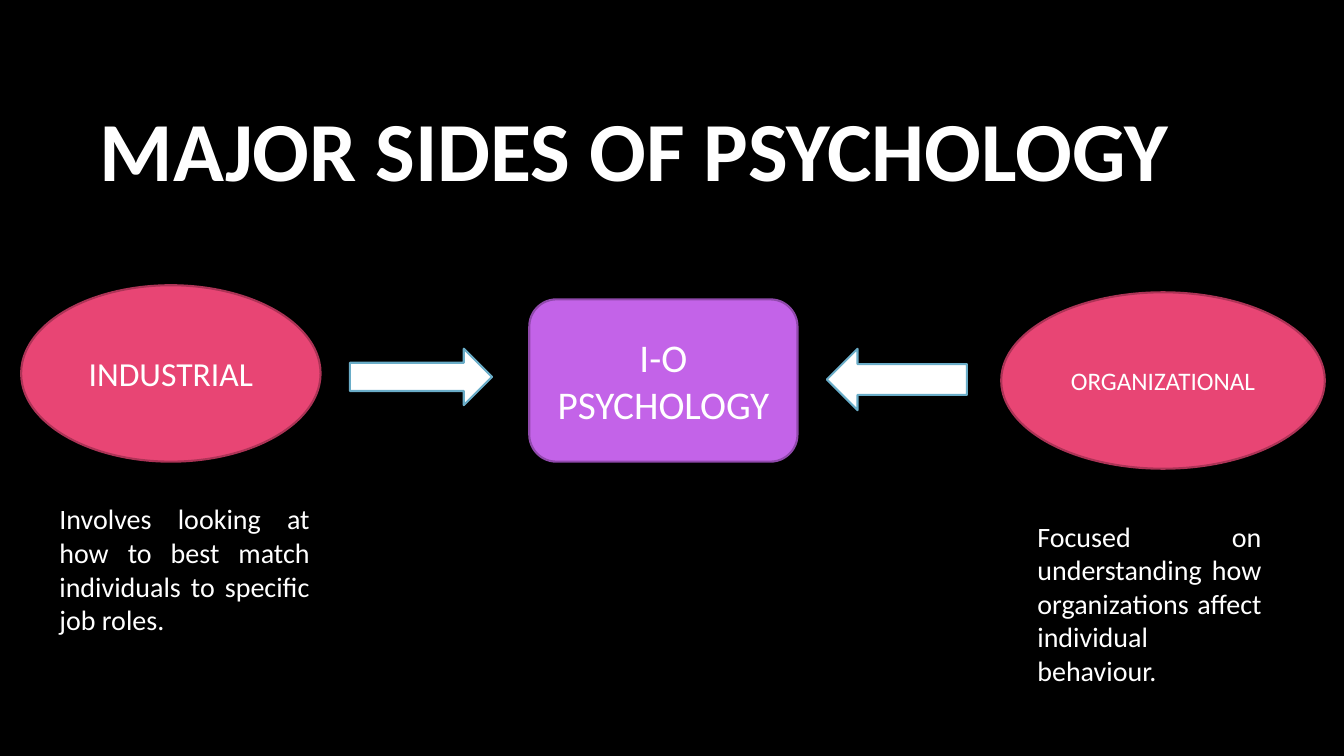
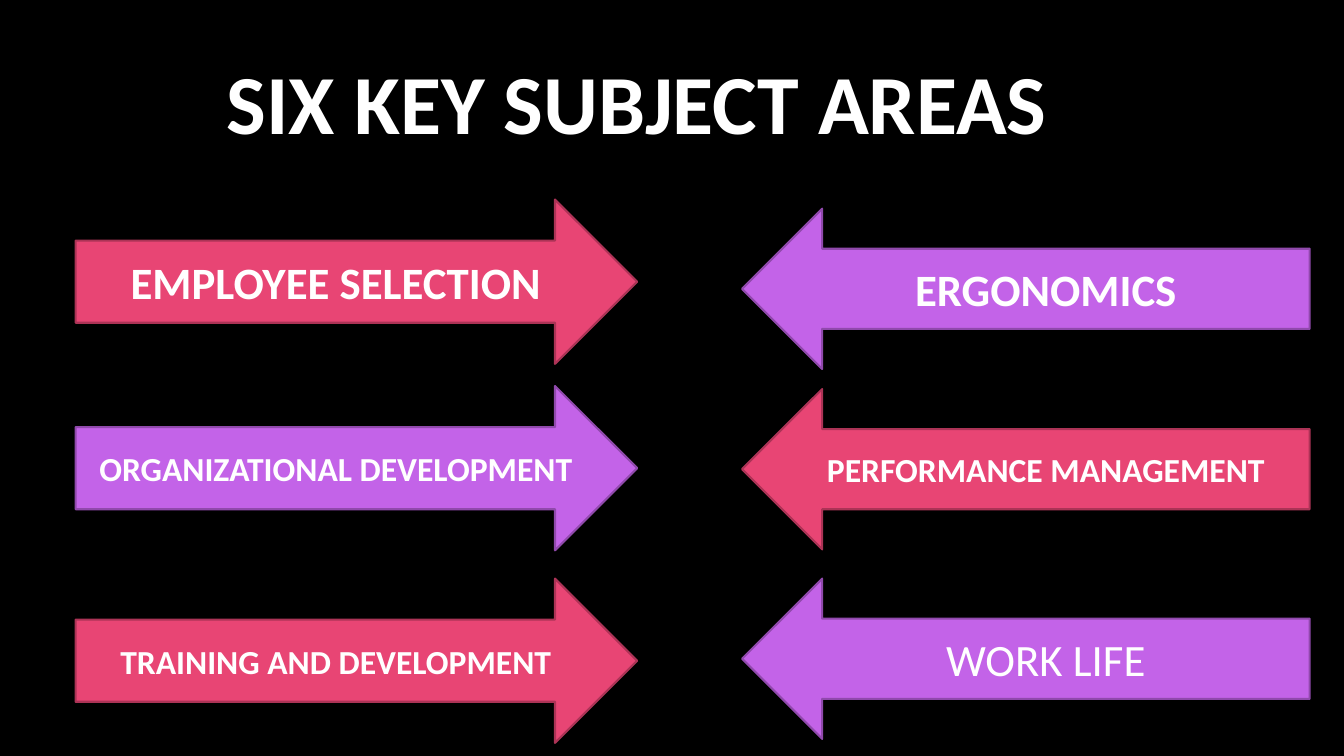
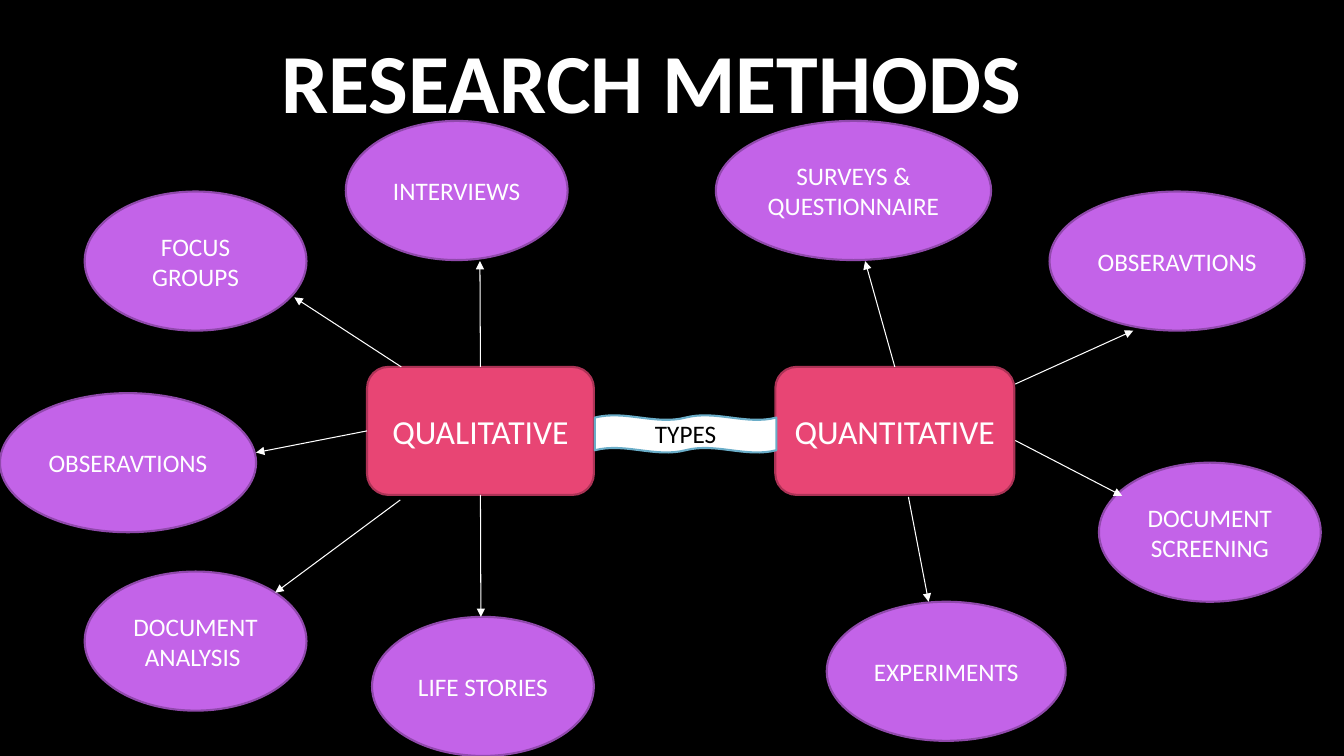
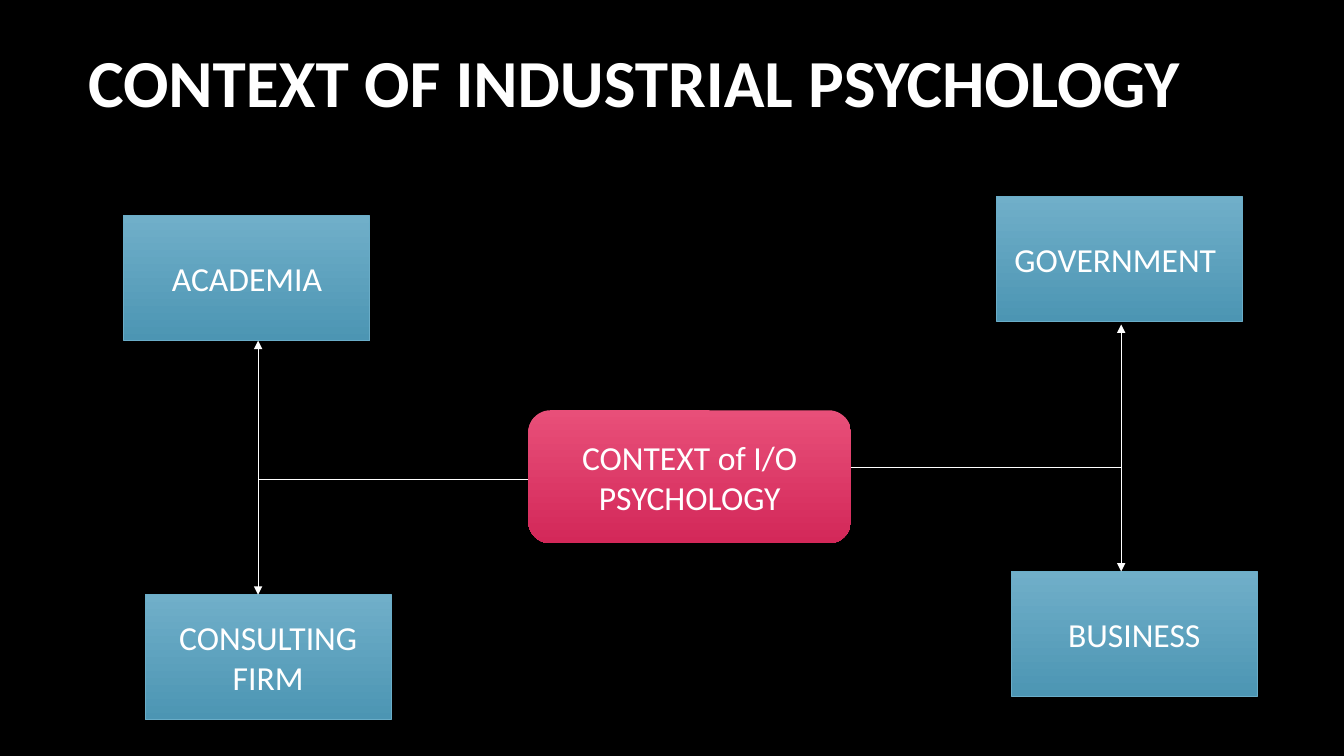
from pptx import Presentation
from pptx.dml.color import RGBColor
from pptx.enum.shapes import MSO_CONNECTOR, MSO_SHAPE
from pptx.enum.text import MSO_ANCHOR, PP_ALIGN
from pptx.oxml.ns import qn
from pptx.util import Inches, Pt
from lxml import etree

BLACK = RGBColor(0x00, 0x00, 0x00)
WHITE = RGBColor(0xFF, 0xFF, 0xFF)
PINK = RGBColor(0xE8, 0x45, 0x74)
PINK_EDGE = RGBColor(0xAC, 0x33, 0x56)
PURPLE = RGBColor(0xC3, 0x63, 0xE8)
PURPLE_EDGE = RGBColor(0x90, 0x49, 0xAC)
BLUE_EDGE = RGBColor(0x6A, 0xAD, 0xC8)
PINK_FADE = (RGBColor(0xE8, 0x4F, 0x79), RGBColor(0xD3, 0x28, 0x59))
BLUE_FADE = (RGBColor(0x70, 0xAF, 0xC9), RGBColor(0x4C, 0x95, 0xB3))

PINK_STYLE = (PINK, PINK_EDGE)
PURPLE_STYLE = (PURPLE, PURPLE_EDGE)
WHITE_STYLE = (WHITE, BLUE_EDGE)

ELLIPSE = MSO_SHAPE.OVAL
RECTANGLE = MSO_SHAPE.RECTANGLE
ROUNDED = MSO_SHAPE.ROUNDED_RECTANGLE
RIGHT_ARROW = MSO_SHAPE.RIGHT_ARROW
LEFT_ARROW = MSO_SHAPE.LEFT_ARROW
DOUBLE_WAVE = MSO_SHAPE.DOUBLE_WAVE
STRAIGHT = MSO_CONNECTOR.STRAIGHT
MIDDLE = MSO_ANCHOR.MIDDLE
TOP = MSO_ANCHOR.TOP
CENTER = PP_ALIGN.CENTER
JUSTIFY = PP_ALIGN.JUSTIFY
SIDE_TOP, SIDE_LEFT, SIDE_BOTTOM = 0, 1, 2


class Deck:
    font = "Calibri"

    def __init__(self):
        self.deck = Presentation()
        self.deck.slide_width = Inches(13.33)
        self.deck.slide_height = Inches(7.5)
        self.page = None

    def new_page(self, title, left, top, size=60):
        self.page = self.deck.slides.add_slide(self.deck.slide_layouts[6])
        background = self.page.background.fill
        background.solid()
        background.fore_color.rgb = BLACK
        self.text((left, top, 11.08, 1.59), title, size, CENTER, MIDDLE, bold=True)

    def fill_text(self, box, text, size, align=CENTER, anchor=MIDDLE, color=WHITE, bold=False):
        frame = box.text_frame
        frame.word_wrap = True
        frame.vertical_anchor = anchor
        para = frame.paragraphs[0]
        para.text = text
        para.alignment = align
        para.font.name = self.font
        para.font.size = Pt(size)
        para.font.bold = bold
        para.font.color.rgb = color

    def text(self, place, text, size, align=JUSTIFY, anchor=TOP, bold=False):
        box = self.page.shapes.add_textbox(*map(Inches, place))
        self.fill_text(box, text, size, align, anchor, bold=bold)

    def base_shape(self, kind, place, text, size, color, bold):
        box = self.page.shapes.add_shape(kind, *map(Inches, place))
        box.shadow.inherit = False
        if text:
            self.fill_text(box, text, size, color=color, bold=bold)
        return box

    def shape(self, kind, place, style, text="", size=18, color=WHITE, bold=False):
        box = self.base_shape(kind, place, text, size, color, bold)
        fill, edge = style
        box.fill.solid()
        box.fill.fore_color.rgb = fill
        box.line.color.rgb = edge
        box.line.width = Pt(1.5)
        return box

    def faded_shape(self, kind, place, fade, text, edge=None):
        box = self.base_shape(kind, place, text, 24, WHITE, False)
        box.fill.gradient()
        box.fill.gradient_angle = 270
        for stop, color in zip(box.fill.gradient_stops, fade):
            stop.color.rgb = color
        if edge is None:
            box.line.fill.background()
        else:
            box.line.color.rgb = edge
            box.line.width = Pt(0.75)

    def line(self, start, end, arrow=True, joined=None):
        line = self.page.shapes.add_connector(STRAIGHT, *map(Inches, (*start, *end)))
        if joined:
            line.begin_connect(*joined)
        line.line.color.rgb = WHITE
        line.line.width = Pt(0.75)
        if arrow:
            etree.SubElement(line.get_or_add_ln(), qn("a:tailEnd"), type="triangle")
        etree.SubElement(line.element.spPr, qn("a:effectLst"))


def major_sides(deck):
    deck.new_page("MAJOR SIDES OF PSYCHOLOGY", 0.75, 0.67)
    deck.shape(ELLIPSE, (0.21, 2.83, 2.97, 1.75), PINK_STYLE, "INDUSTRIAL", 24)
    deck.shape(ELLIPSE, (9.93, 2.9, 3.21, 1.75), PINK_STYLE, "ORGANIZATIONAL")
    deck.shape(ROUNDED, (5.25, 2.97, 2.66, 1.61), PURPLE_STYLE, "I-O PSYCHOLOGY", 28)
    deck.shape(RIGHT_ARROW, (3.47, 3.46, 1.41, 0.56), WHITE_STYLE)
    deck.shape(LEFT_ARROW, (8.2, 3.46, 1.39, 0.61), WHITE_STYLE)
    deck.text((0.49, 4.93, 2.68, 1.45),
              "Involves looking at how to best match individuals to specific job roles.", 20)
    deck.text((10.19, 5.1, 2.42, 1.78),
              "Focused on understanding how organizations affect individual behaviour.", 20)


def subject_areas(deck):
    deck.new_page("SIX KEY SUBJECT AREAS", 0.78, 0.21)
    left_areas = (
        (1.98, PINK_STYLE, "EMPLOYEE SELECTION", 32),
        (3.83, PURPLE_STYLE, "ORGANIZATIONAL DEVELOPMENT", 24),
        (5.74, PINK_STYLE, "TRAINING AND DEVELOPMENT", 24),
    )
    right_areas = (
        (2.07, PURPLE_STYLE, "ERGONOMICS", 32, True),
        (3.86, PINK_STYLE, "PERFORMANCE MANAGEMENT", 24, True),
        (5.74, PURPLE_STYLE, "WORK LIFE", 32, False),
    )
    for top, style, text, size in left_areas:
        deck.shape(RIGHT_ARROW, (0.75, top, 5.57, 1.63), style, text, size, bold=True)
    for top, style, text, size, bold in right_areas:
        deck.shape(LEFT_ARROW, (7.36, top, 5.63, 1.59), style, text, size, bold=bold)


def research_methods(deck):
    deck.new_page("RESEARCH METHODS", 0.92, 0)
    quantitative = deck.shape(ROUNDED, (7.69, 3.64, 2.37, 1.27), PINK_STYLE, "QUANTITATIVE", 24)
    qualitative = deck.shape(ROUNDED, (3.64, 3.64, 2.25, 1.27), PINK_STYLE, "QUALITATIVE", 24)
    methods = (
        (10.41, 1.9, 2.53, "OBSERAVTIONS"),
        (10.9, 4.59, 2.2, "DOCUMENT SCREENING"),
        (8.2, 5.97, 2.37, "EXPERIMENTS"),
        (3.69, 6.12, 2.2, "LIFE STORIES"),
        (0.84, 5.67, 2.2, "DOCUMENT ANALYSIS "),
        (0, 3.9, 2.54, "OBSERAVTIONS"),
        (0.84, 1.9, 2.2, "FOCUS GROUPS"),
        (3.43, 1.2, 2.2, "INTERVIEWS"),
        (7.1, 1.2, 2.73, "SURVEYS & QUESTIONNAIRE"),
    )
    for left, top, width, text in methods:
        deck.shape(ELLIPSE, (left, top, width, 1.38), PURPLE_STYLE, text)
    deck.shape(DOUBLE_WAVE, (5.9, 4.12, 1.8, 0.37), WHITE_STYLE, "TYPES", color=BLACK)
    arrows = (
        ((4.77, 3.64), (4.76, 2.59), (qualitative, SIDE_TOP)),
        ((3.98, 3.64), (2.92, 2.95), None),
        ((3.64, 4.28), (2.54, 4.49), (qualitative, SIDE_LEFT)),
        ((3.97, 4.96), (2.73, 5.88), None),
        ((4.77, 4.93), (4.77, 6.12), (qualitative, SIDE_BOTTOM)),
        ((10.07, 3.81), (11.24, 3.28), None),
        ((10.07, 4.37), (11.13, 4.92), None),
        ((8.88, 3.64), (8.58, 2.59), (quantitative, SIDE_TOP)),
        ((9.01, 4.93), (9.21, 5.97), None),
    )
    for start, end, joined in arrows:
        deck.line(start, end, joined=joined)


def psychology_context(deck):
    deck.new_page("CONTEXT OF INDUSTRIAL PSYCHOLOGY", 0.75, 0, 48)
    deck.faded_shape(ROUNDED, (5.24, 4.07, 3.2, 1.32), PINK_FADE, "CONTEXT of I/O PSYCHOLOGY")
    settings = (
        (9.88, 1.95, "GOVERNMENT "),
        (1.44, 5.9, "CONSULTING FIRM"),
        (1.23, 2.14, "ACADEMIA"),
        (10.03, 5.67, "BUSINESS"),
    )
    for left, top, text in settings:
        deck.faded_shape(RECTANGLE, (left, top, 2.44, 1.24), BLUE_FADE, text, BLUE_EDGE)
    branches = (
        (5.24, 2.56, 4.76, (3.38, 5.9)),
        (8.44, 11.12, 4.64, (3.22, 5.67)),
    )
    for hub, trunk, middle, ends in branches:
        deck.line((hub, middle), (trunk, middle), arrow=False)
        for end in ends:
            deck.line((trunk, middle), (trunk, end))


def main():
    deck = Deck()
    for build in (major_sides, subject_areas, research_methods, psychology_context):
        build(deck)
    deck.deck.save("out.pptx")


if __name__ == "__main__":
    main()
